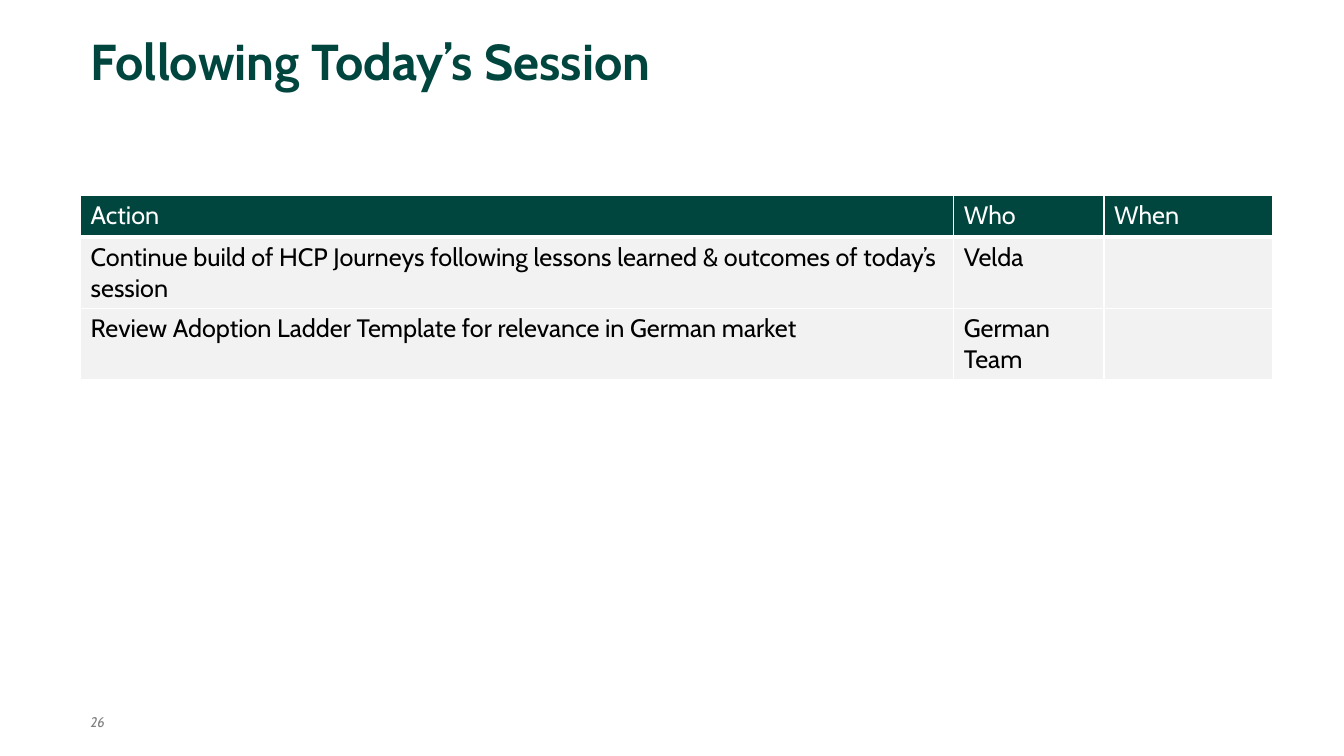
from dataclasses import dataclass

from lxml.etree import SubElement
from pptx import Presentation
from pptx.dml.color import RGBColor
from pptx.enum.text import MSO_ANCHOR, PP_ALIGN
from pptx.oxml.ns import qn
from pptx.util import Inches, Pt


@dataclass(frozen=True)
class Theme:
    font: str = "Cabin"
    green: str = "00463E"
    white: str = "FFFFFF"
    black: str = "000000"
    band: str = "F2F2F2"
    grey: str = "808080"
    title_size: int = 36
    table_size: int = 18
    number_size: int = 10
    border: int = 1
    header_border: int = 3


THEME = Theme()
LEFT, CONTENT_WIDTH = 0.8, 11.82
COLUMN_WIDTHS = (8.66, 1.49, 1.67)
ROW_HEIGHTS = (0.41, 0.71, 0.71)
ACTIONS = (
    ("Action", "Who", "When"),
    ("Continue build of HCP Journeys following lessons learned & outcomes of today’s session", "Velda", ""),
    ("Review Adoption Ladder Template for relevance in German market", "German Team", ""),
)


def add_text(text_frame, text, size, color, bold=False, italic=False):
    paragraph = text_frame.paragraphs[0]
    paragraph.alignment = PP_ALIGN.LEFT
    run = paragraph.add_run()
    run.text = text
    run.font.name = THEME.font
    run.font.size = Pt(size)
    run.font.bold = bold
    run.font.italic = italic
    run.font.color.rgb = RGBColor.from_string(color)


def add_title(slide, text):
    title = slide.shapes.title
    title.left, title.top = Inches(LEFT), Inches(0.28)
    title.width, title.height = Inches(CONTENT_WIDTH), Inches(1.42)
    frame = title.text_frame
    frame.word_wrap = True
    frame.vertical_anchor = MSO_ANCHOR.TOP
    frame.margin_left = frame.margin_right = Inches(0.1)
    frame.margin_top, frame.margin_bottom = Inches(0.02), 0
    add_text(frame, text, THEME.title_size, THEME.green, bold=True)
    frame.paragraphs[0].line_spacing = 1.0


def set_borders(cell, bottom_width):
    properties = cell._tc.get_or_add_tcPr()
    for side in ("L", "R", "T", "B"):
        width = bottom_width if side == "B" else THEME.border
        line = SubElement(properties, qn(f"a:ln{side}"), w=str(Pt(width)))
        fill = SubElement(line, qn("a:solidFill"))
        SubElement(fill, qn("a:srgbClr"), val=THEME.white)


def add_action_table(slide, records):
    frame = slide.shapes.add_table(
        len(records), len(COLUMN_WIDTHS), Inches(LEFT), Inches(1.94),
        Inches(CONTENT_WIDTH), Inches(sum(ROW_HEIGHTS)))
    table = frame.table
    for column, width in zip(table.columns, COLUMN_WIDTHS):
        column.width = Inches(width)
    for row_index, (row, record) in enumerate(zip(table.rows, records)):
        row.height = Inches(ROW_HEIGHTS[row_index])
        header = row_index == 0
        for cell, text in zip(row.cells, record):
            set_borders(cell, THEME.header_border if header else THEME.border)
            cell.fill.solid()
            cell.fill.fore_color.rgb = RGBColor.from_string(THEME.green if header else THEME.band)
            if text:
                add_text(cell.text_frame, text, THEME.table_size,
                         THEME.white if header else THEME.black)


def add_slide_number(slide, number):
    box = slide.shapes.add_textbox(Inches(LEFT), Inches(7.03), Inches(0.41), Inches(0.27))
    box.text_frame.word_wrap = False
    add_text(box.text_frame, number, THEME.number_size, THEME.grey, italic=True)


def main():
    presentation = Presentation()
    presentation.slide_width, presentation.slide_height = Inches(13.33), Inches(7.5)
    slide = presentation.slides.add_slide(presentation.slide_layouts[5])

    # Page number and heading
    add_slide_number(slide, "26")
    add_title(slide, "Following Today’s Session")

    # Follow-up actions
    add_action_table(slide, ACTIONS)

    presentation.save("out.pptx")


if __name__ == "__main__":
    main()
